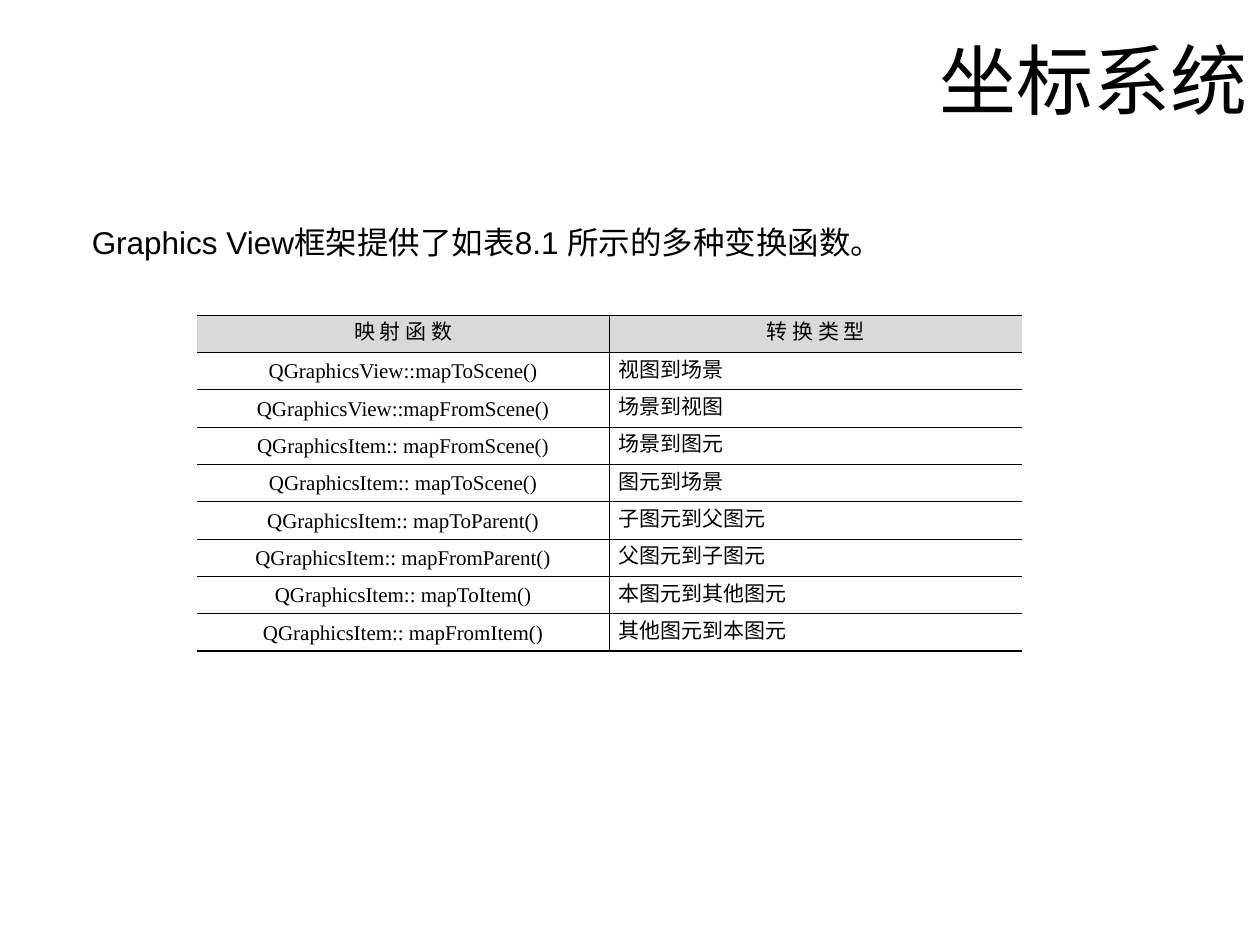
from typing import NamedTuple

import pptx
import pptx.dml.color
import pptx.enum.text
import pptx.oxml
import pptx.oxml.ns
import pptx.util

Pt = pptx.util.Pt
ALIGN = pptx.enum.text.PP_ALIGN
MIDDLE = pptx.enum.text.MSO_ANCHOR.MIDDLE
COLORS = {"ink": "000000", "head": "D9D9D9", "body": "FFFFFF"}


class Box(NamedTuple):
    left: float
    top: float
    width: float
    height: float


class Row(NamedTuple):
    func: str
    kind: str


ROWS = [
    Row("映 射 函 数", "转 换 类 型"),
    Row("QGraphicsView::mapToScene()", "视图到场景"),
    Row("QGraphicsView::mapFromScene()", "场景到视图"),
    Row("QGraphicsItem:: mapFromScene()", "场景到图元"),
    Row("QGraphicsItem:: mapToScene()", "图元到场景"),
    Row("QGraphicsItem:: mapToParent()", "子图元到父图元"),
    Row("QGraphicsItem:: mapFromParent()", "父图元到子图元"),
    Row("QGraphicsItem:: mapToItem()", "本图元到其他图元"),
    Row("QGraphicsItem:: mapFromItem()", "其他图元到本图元"),
]
TITLE = Box(72, 0, 648, 90)
INTRO = Box(45.36, 123.84, 613.44, 50.4)
GRID = Box(112.5, 180, 471.6, 192.24)
THIN, THICK = 0.45, 1.08


def color(name: str) -> pptx.dml.color.RGBColor:
    return pptx.dml.color.RGBColor.from_string(COLORS[name])


def add_run(para, text: str, size: float, font: str) -> None:
    run = para.add_run()
    run.text = text
    run.font.size = Pt(size)
    run.font.name = font
    run.font.color.rgb = color("ink")


def add_edge(cell, side: str, width: float) -> None:
    """Draw one cell border; zero width means no line."""
    paint = f'<a:solidFill><a:srgbClr val="{COLORS["ink"]}"/></a:solidFill>'
    cell._tc.get_or_add_tcPr().append(pptx.oxml.parse_xml(
        f'<a:ln{side} {pptx.oxml.ns.nsdecls("a")} w="{int(Pt(width))}">'
        f'{paint if width else "<a:noFill/>"}</a:ln{side}>'))


def fill_cell(cell, text: str, row: int, col: int) -> None:
    last = row == len(ROWS) - 1
    edges = {"L": THIN if col else 0, "R": 0 if col else THIN,
             "T": THIN, "B": THICK if last else THIN}
    for side, width in edges.items():
        add_edge(cell, side, width)
    cell.fill.solid()
    cell.fill.fore_color.rgb = color("body" if row else "head")
    cell.vertical_anchor = MIDDLE
    cell.margin_left = cell.margin_right = Pt(5.4)
    cell.margin_top = cell.margin_bottom = Pt(3.6)
    para = cell.text_frame.paragraphs[0]
    para.alignment = ALIGN.JUSTIFY if row and col else ALIGN.CENTER
    para.line_spacing = Pt(14)
    add_run(para, text, 12, "Times New Roman")


def add_grid(slide, box: Box) -> None:
    table = slide.shapes.add_table(len(ROWS), 2, *map(Pt, box)).table
    table.first_row = table.horz_banding = False
    for col in table.columns:
        col.width = Pt(box.width / 2)
    for i, row in enumerate(ROWS):
        table.rows[i].height = Pt(box.height / len(ROWS))
        for j, text in enumerate(row):
            fill_cell(table.cell(i, j), text, i, j)


def main() -> None:
    deck = pptx.Presentation()
    deck.slide_width, deck.slide_height = Pt(720), Pt(540)
    slide = deck.slides.add_slide(deck.slide_layouts[5])

    # Title
    title = slide.shapes.title
    title.left, title.top, title.width, title.height = map(Pt, TITLE)
    title.text_frame.vertical_anchor = MIDDLE
    para = title.text_frame.paragraphs[0]
    para.alignment = ALIGN.RIGHT
    add_run(para, "坐标系统", 44, "Arial")

    # Introduction
    frame = slide.shapes.add_textbox(*map(Pt, INTRO)).text_frame
    frame.word_wrap = True
    add_run(frame.paragraphs[0],
            "Graphics View框架提供了如表8.1 所示的多种变换函数。", 18, "Arial")

    # Table of mapping functions
    add_grid(slide, GRID)
    deck.save("out.pptx")


if __name__ == "__main__":
    main()
